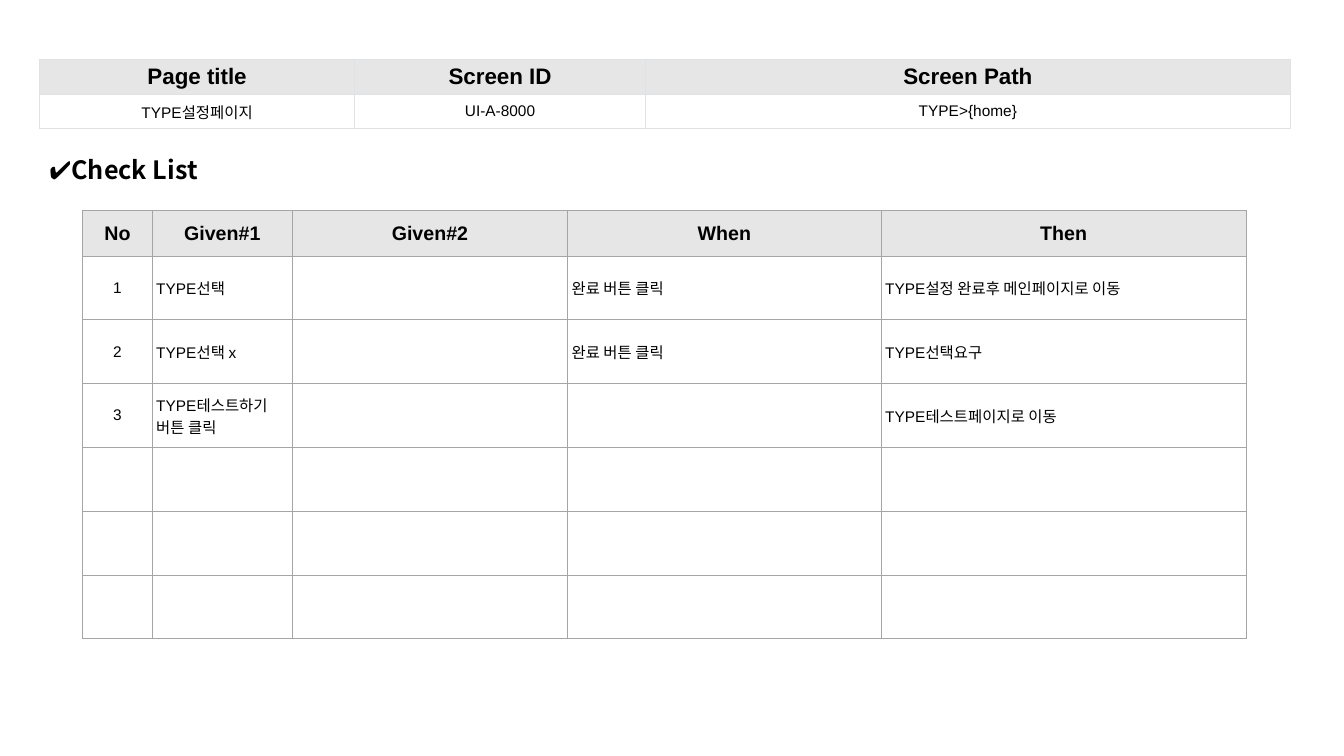
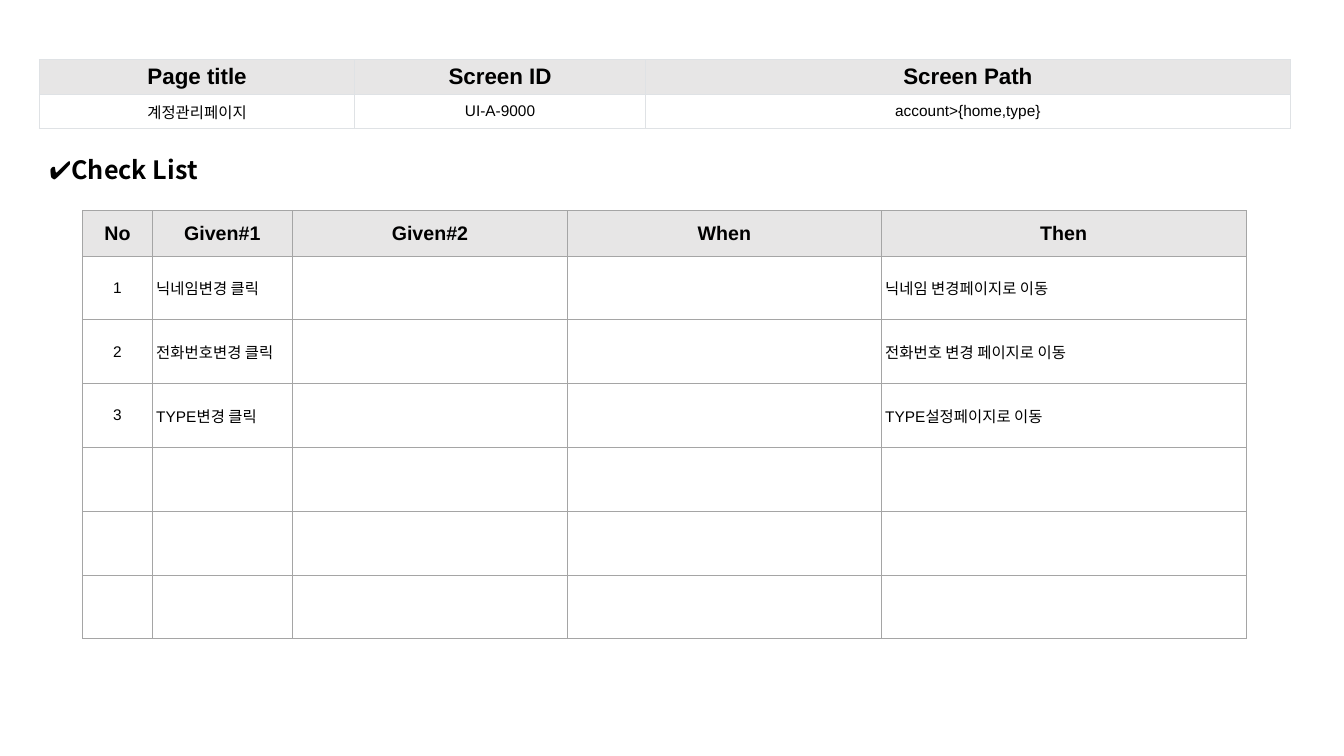
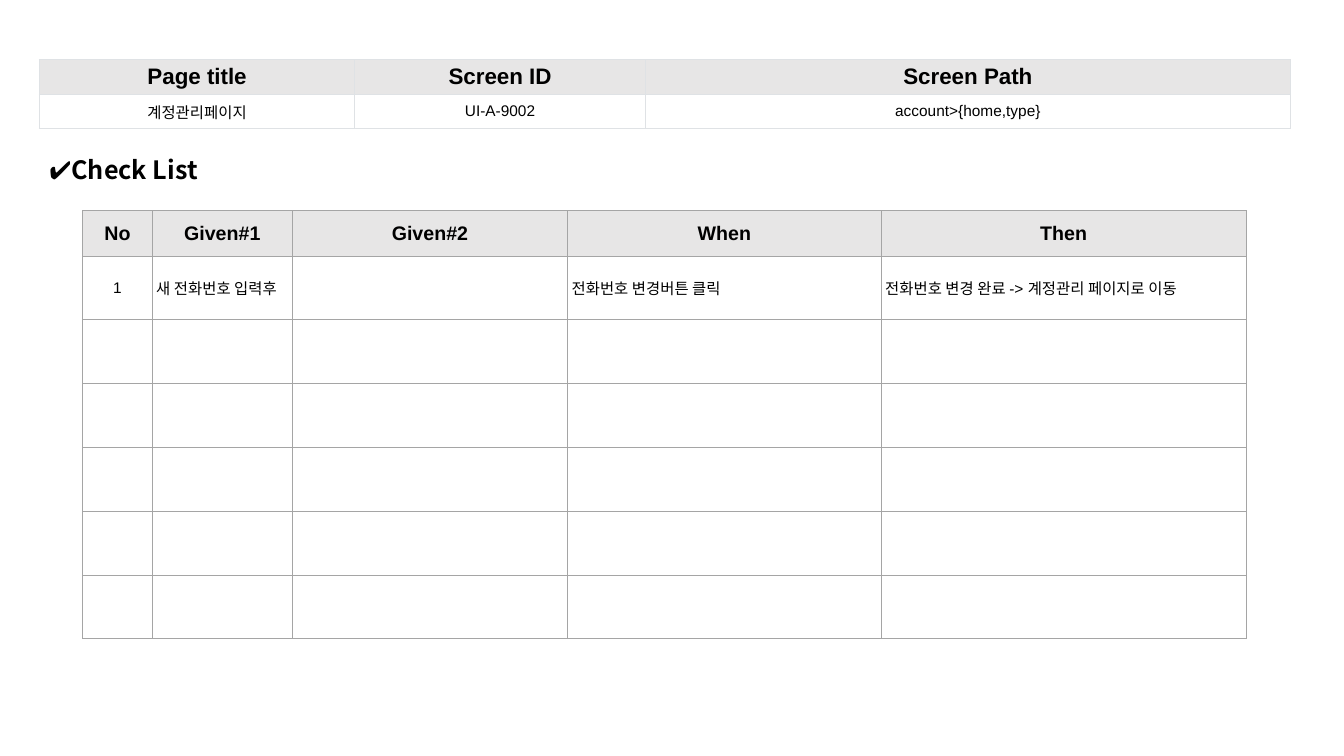
from dataclasses import dataclass

from lxml.etree import SubElement
from pptx import Presentation
from pptx.dml.color import RGBColor
from pptx.enum.text import MSO_ANCHOR, MSO_AUTO_SIZE, PP_ALIGN
from pptx.oxml.ns import qn
from pptx.slide import Slide
from pptx.util import Inches, Pt

BLACK, WHITE, HEADER_FILL = "000000", "FFFFFF", "E7E6E6"
LATIN, HANGUL = "Arial", "Noto Sans CJK KR"
BODY_SIZE = 11


@dataclass(frozen=True)
class GridStyle:
    left: float
    top: float
    cols: tuple[float, ...]
    rows: tuple[float, ...]
    heads: tuple[str, ...]
    head_size: int
    border: str
    inset_x: float
    head_inset_y: float
    body_inset_y: float
    centred_cols: int


@dataclass(frozen=True)
class Screen:
    page_title: str
    screen_id: str
    screen_path: str
    checks: tuple[tuple[str, str, str, str], ...]


SCREEN_INFO = GridStyle(
    0.39, 0.59, (3.13, 2.88, 6.4), (0.35, 0.33),
    ("Page title", "Screen ID", "Screen Path"),
    16, "DFE2E5", 0.11, 0.05, 0.05, 3)
CHECK_LIST = GridStyle(
    0.82, 2.09, (0.69, 1.39, 2.73, 3.11, 3.62),
    (0.45,) + ((4.25 - 0.45) / 6,) * 6,
    ("No", "Given#1", "Given#2", "When", "Then"),
    14, "A5A5A5", 0.04, 0.02, 0.01, 1)

SCREENS = (
    Screen("TYPE설정페이지", "UI-A-8000", "TYPE>{home}", (
        ("TYPE선택", "", "완료 버튼 클릭", "TYPE설정 완료후 메인페이지로 이동"),
        ("TYPE선택 x", "", "완료 버튼 클릭", "TYPE선택요구"),
        ("TYPE테스트하기 버튼 클릭", "", "", "TYPE테스트페이지로 이동"))),
    Screen("계정관리페이지", "UI-A-9000", "account>{home,type}", (
        ("닉네임변경 클릭", "", "", "닉네임 변경페이지로 이동"),
        ("전화번호변경 클릭", "", "", "전화번호 변경 페이지로 이동"),
        ("TYPE변경 클릭", "", "", "TYPE설정페이지로 이동"))),
    Screen("계정관리페이지", "UI-A-9002", "account>{home,type}", (
        ("새 전화번호 입력후", "", "전화번호 변경버튼 클릭",
         "전화번호 변경 완료 -> 계정관리 페이지로 이동"),)),
)


def rgb(value: str) -> RGBColor:
    return RGBColor.from_string(value)


def add_run(p, text: str, size: int, bold: bool, font: str) -> None:
    r = p.add_run()
    r.text = text
    r.font.size = Pt(size)
    r.font.bold = bold
    r.font.color.rgb = rgb(BLACK)
    r.font.name = font
    SubElement(r.font._element, qn("a:ea"), typeface=HANGUL)


def set_borders(cell, color: str) -> None:
    tc_pr = cell._tc.get_or_add_tcPr()
    for side in ("lnL", "lnR", "lnT", "lnB"):
        ln = SubElement(tc_pr, qn(f"a:{side}"), w=str(Pt(0.75)))
        fill = SubElement(ln, qn("a:solidFill"))
        SubElement(fill, qn("a:srgbClr"), val=color)


def add_grid(s: Slide, style: GridStyle, body: list[tuple[str, ...]]) -> None:
    n_rows, n_cols = len(style.rows), len(style.cols)
    table = s.shapes.add_table(
        n_rows, n_cols, Inches(style.left), Inches(style.top),
        Inches(sum(style.cols)), Inches(sum(style.rows))).table
    table.first_row = table.horz_banding = False
    for column, width in zip(table.columns, style.cols):
        column.width = Inches(width)
    for row, height in zip(table.rows, style.rows):
        row.height = Inches(height)

    blank_rows = [("",) * n_cols] * (n_rows - 1 - len(body))
    for i, texts in enumerate([style.heads, *body, *blank_rows]):
        head = i == 0
        for j, text in enumerate(texts):
            cell = table.cell(i, j)
            set_borders(cell, style.border)
            cell.fill.solid()
            cell.fill.fore_color.rgb = rgb(HEADER_FILL if head else WHITE)
            cell.vertical_anchor = MSO_ANCHOR.MIDDLE
            cell.margin_left = cell.margin_right = Inches(style.inset_x)
            cell.margin_top = cell.margin_bottom = Inches(
                style.head_inset_y if head else style.body_inset_y)
            if text:
                p = cell.text_frame.paragraphs[0]
                centred = head or j < style.centred_cols
                p.alignment = PP_ALIGN.CENTER if centred else PP_ALIGN.LEFT
                add_run(p, text, style.head_size if head else BODY_SIZE,
                        head, LATIN)


def set_title(s: Slide, text: str) -> None:
    sp = s.shapes.title
    sp.left, sp.top = Inches(0.39), Inches(1.48)
    sp.width, sp.height = Inches(1.85), Inches(0.4)
    tf = sp.text_frame
    tf.word_wrap = True
    tf.auto_size = MSO_AUTO_SIZE.NONE
    tf.vertical_anchor = MSO_ANCHOR.TOP
    tf.margin_left = tf.margin_right = Inches(0.1)
    tf.margin_top = tf.margin_bottom = Inches(0.05)
    p = tf.paragraphs[0]
    p.alignment = PP_ALIGN.LEFT
    add_run(p, text, 18, True, HANGUL)


def add_screen(prs, screen: Screen) -> None:
    s = prs.slides.add_slide(prs.slide_layouts.get_by_name("Title Only"))
    checks = [(str(no), *check) for no, check in enumerate(screen.checks, 1)]
    add_grid(s, CHECK_LIST, checks)
    set_title(s, "✔Check List")
    add_grid(s, SCREEN_INFO,
             [(screen.page_title, screen.screen_id, screen.screen_path)])


def main() -> None:
    prs = Presentation()
    prs.slide_width, prs.slide_height = Inches(13.33), Inches(7.5)
    for screen in SCREENS:
        add_screen(prs, screen)
    prs.save("out.pptx")


if __name__ == "__main__":
    main()
